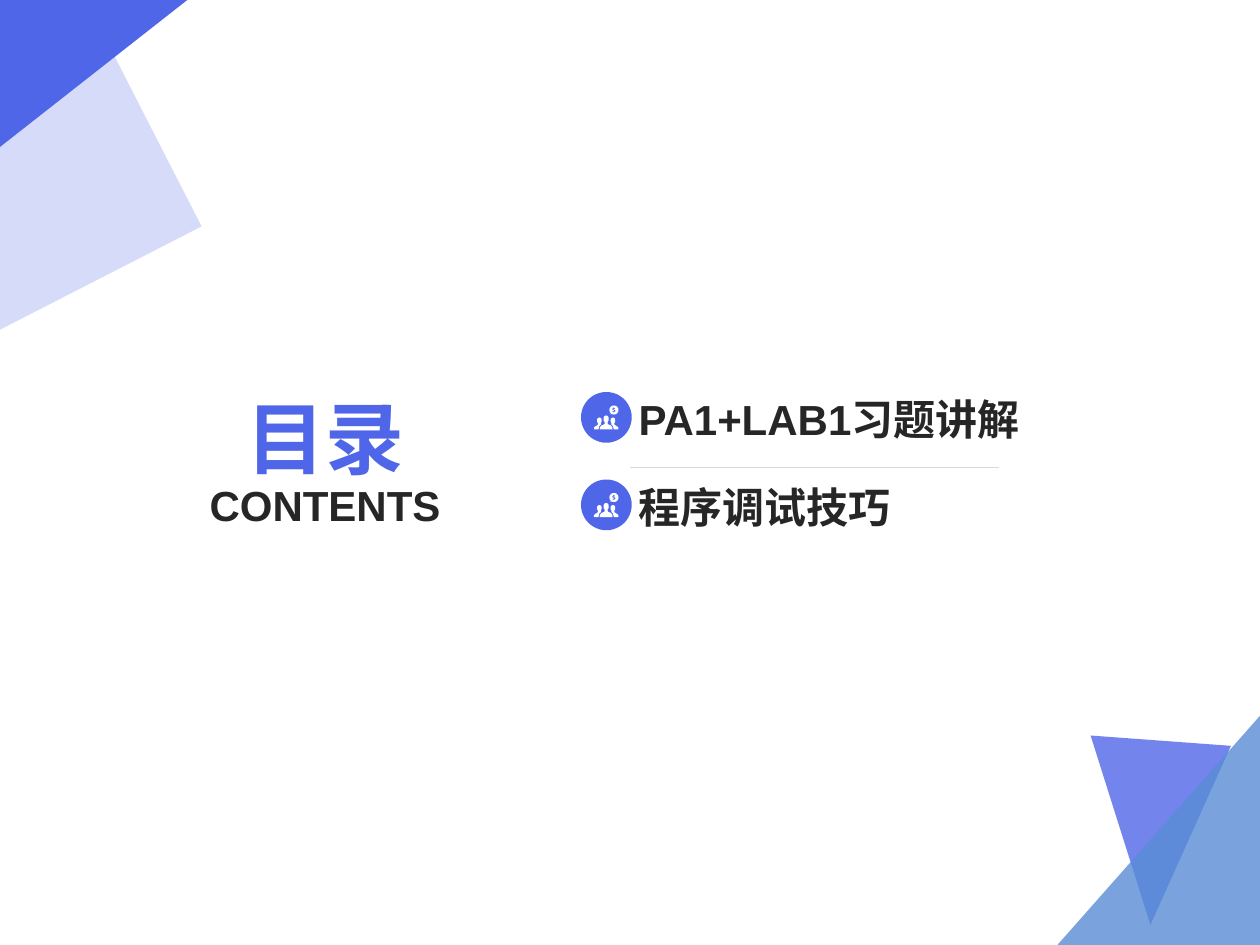
"""Build the contents page with its two topics and corner decorations."""
from dataclasses import dataclass
from math import cos, pi, sin

from lxml.etree import SubElement
from pptx import Presentation
from pptx.dml.color import RGBColor
from pptx.enum.shapes import MSO_CONNECTOR, MSO_SHAPE
from pptx.enum.text import MSO_ANCHOR, MSO_AUTO_SIZE, PP_ALIGN
from pptx.oxml.ns import qn
from pptx.util import Pt

COLORS = {
    "accent": "5066E9",
    "pale": "96A3F2",
    "sky": "598DD5",
    "ink": "262626",
    "rule": "D9D9D9",
    "white": "FFFFFF",
}

Contour = list[tuple[float, float]]


@dataclass
class Decoration:
    points: Contour
    color: str
    opacity: int = 100


@dataclass
class Label:
    text: str
    left: float
    top: float
    width: float
    height: float
    size: float = 24
    color: str = "ink"
    align: PP_ALIGN = PP_ALIGN.LEFT
    anchor: MSO_ANCHOR = MSO_ANCHOR.MIDDLE
    inset_top: float = 3
    inset_bottom: float = 0
    line_spacing: float = 1.0


DECORATIONS = [
    Decoration([(703.4, 426.2), (657.4, 528.5), (623.2, 420.3)], "accent", 80),
    Decoration([(720, 540), (604.2, 540), (720, 409)], "sky", 80),
    Decoration([(0, 188.4), (115.2, 129.4), (65.6, 32.4), (0, 84)], "pale", 39),
    Decoration([(0, 0), (0, 84), (107, 0)], "accent"),
]

HEADING = Label("目录", 113, 209, 145.5, 67.5, size=45, color="accent",
                align=PP_ALIGN.CENTER, anchor=MSO_ANCHOR.BOTTOM)
SUBHEADING = Label("CONTENTS", 113, 279.4, 145.5, 29.5, align=PP_ALIGN.CENTER,
                   anchor=MSO_ANCHOR.TOP, inset_top=0, inset_bottom=3,
                   line_spacing=0.8)

TOPICS = [("PA1+LAB1习题讲解", 255), ("程序调试技巧", 211)]
TOPIC_TOP, TOPIC_STEP = 224, 50
BADGE_LEFT, BADGE_SIZE = 332, 29
TEXT_LEFT = 360

LEFT_PERSON = [(0, 13), (0, 11.7), (0.8, 10.6), (3, 9.4), (3.2, 8), (2.5, 6.6),
               (2.5, 5), (3, 4), (4.3, 3.4), (5.6, 4), (6.1, 5), (6.1, 6.6),
               (5.5, 8), (5.6, 9), (4.2, 10.3), (3.6, 13)]
CENTER_PERSON = [(4.6, 13), (4.8, 11.2), (6, 9.8), (8.4, 8.7), (8.5, 7), (7.7, 5.8),
                 (7.7, 3.5), (8.3, 2.4), (9.7, 1.8), (11.1, 2.4), (11.7, 3.5),
                 (11.7, 5.8), (10.9, 7), (11, 8.7), (13.4, 9.8), (14.6, 11.2),
                 (14.8, 13)]
RIGHT_PERSON = [(19.4 - across, down) for across, down in LEFT_PERSON]
DOLLAR = [(16.1, -4.8), (16.1, -4.3), (17, -3.9), (16.7, -3.3), (15.6, -3.5),
          (15.6, -3), (17, -2.4), (17, -1.3), (16.1, -0.8), (16.1, -0.3),
          (15.6, -0.3), (15.6, -0.8), (14.5, -1.1), (14.8, -1.7), (16.1, -1.6),
          (16.1, -2), (14.7, -2.6), (14.7, -3.7), (15.6, -4.3), (15.6, -4.8)]
BUBBLE = [(15.9 + 3.6 * cos(turn * pi / 12), -2.5 + 3.6 * sin(turn * pi / 12))
          for turn in range(-15, 9)] + [(13, 1), (13.6, 0.2)]
ICON = [LEFT_PERSON, CENTER_PERSON, RIGHT_PERSON, BUBBLE, DOLLAR]
ICON_SCALE = 0.72


def paint(shape, color: str, opacity: int = 100) -> None:
    """Give a shape a flat fill with neither line nor shadow."""
    shape.shadow.inherit = False
    shape.line.fill.background()
    shape.fill.solid()
    shape.fill.fore_color.rgb = RGBColor.from_string(COLORS[color])
    if opacity < 100:
        tint = shape._element.spPr.find(qn("a:solidFill")).find(qn("a:srgbClr"))
        SubElement(tint, qn("a:alpha"), val=str(opacity * 1000))


def draw_outline(page, contours: list[Contour], color: str, opacity: int = 100) -> None:
    """Draw closed contours, given in points, as one shape."""
    scaled = [[(Pt(across), Pt(down)) for across, down in contour] for contour in contours]
    builder = page.shapes.build_freeform(*scaled[0][0])
    for number, contour in enumerate(scaled):
        if number:
            builder.move_to(*contour[0])
        builder.add_line_segments(contour[1:], close=True)
    paint(builder.convert_to_shape(), color, opacity)


def write_label(box, label: Label) -> None:
    """Place a text box or placeholder and write its single line."""
    for name in ("left", "top", "width", "height"):
        setattr(box, name, Pt(getattr(label, name)))
    frame = box.text_frame
    frame_format = {
        "word_wrap": True,
        "auto_size": MSO_AUTO_SIZE.NONE,
        "vertical_anchor": label.anchor,
        "margin_left": Pt(5),
        "margin_right": Pt(5),
        "margin_top": Pt(label.inset_top),
        "margin_bottom": Pt(label.inset_bottom),
    }
    for name, value in frame_format.items():
        setattr(frame, name, value)
    para = frame.paragraphs[0]
    para.alignment = label.align
    para.line_spacing = label.line_spacing
    span = para.add_run()
    span.text = label.text
    for name, value in {"name": "Arial", "size": Pt(label.size), "bold": True}.items():
        setattr(span.font, name, value)
    span.font.color.rgb = RGBColor.from_string(COLORS[label.color])


def add_label(page, label: Label) -> None:
    """Add a new text box for a label."""
    write_label(page.shapes.add_textbox(0, 0, 0, 0), label)


def draw_topic(page, text: str, width: float, top: float) -> None:
    """Draw a round badge with its icon and the topic beside it."""
    badge = page.shapes.add_shape(MSO_SHAPE.OVAL, Pt(BADGE_LEFT), Pt(top),
                                  Pt(BADGE_SIZE), Pt(BADGE_SIZE))
    paint(badge, "accent")
    icon = [[(BADGE_LEFT + 7.4 + across * ICON_SCALE, top + 12.1 + down * ICON_SCALE)
             for across, down in contour] for contour in ICON]
    draw_outline(page, icon, "white")
    add_label(page, Label(text, TEXT_LEFT, top - 5, width, 38))


def draw_rule(page, left: float, right: float, height: float) -> None:
    """Draw the thin rule between the topics."""
    rule = page.shapes.add_connector(MSO_CONNECTOR.STRAIGHT, Pt(left), Pt(height),
                                     Pt(right), Pt(height))
    rule.line.color.rgb = RGBColor.from_string(COLORS["rule"])
    rule.line.width = Pt(0.25)
    SubElement(rule._element.spPr, qn("a:effectLst"))


def main() -> None:
    """Build and save the deck."""
    deck = Presentation()
    deck.slide_width, deck.slide_height = Pt(720), Pt(540)
    page = deck.slides.add_slide(deck.slide_layouts[5])
    for decoration in DECORATIONS:
        draw_outline(page, [decoration.points], decoration.color, decoration.opacity)
    write_label(page.shapes.title, HEADING)
    add_label(page, SUBHEADING)
    for row, (text, width) in enumerate(TOPICS):
        draw_topic(page, text, width, TOPIC_TOP + row * TOPIC_STEP)
    draw_rule(page, TEXT_LEFT, TEXT_LEFT + 211, 267)
    deck.save("out.pptx")


if __name__ == "__main__":
    main()
